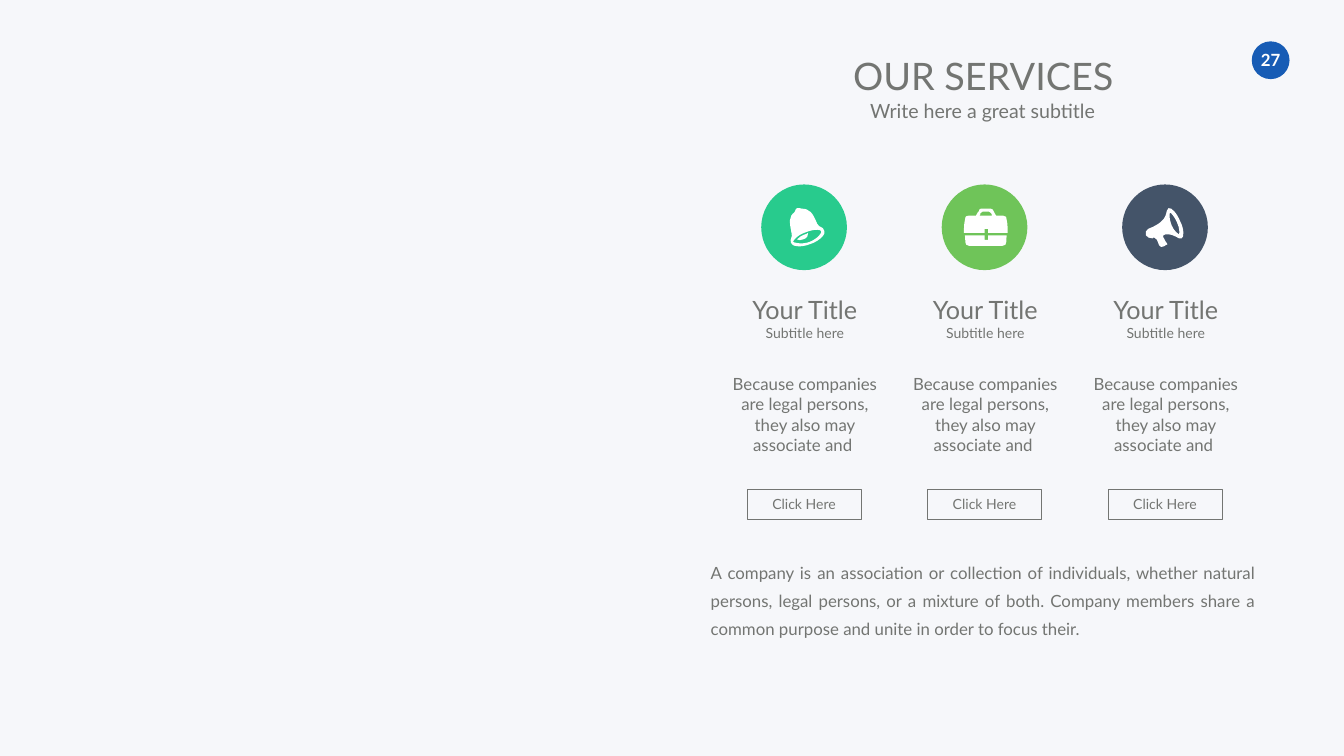
from dataclasses import dataclass

import lxml.etree
import pptx
import pptx.dml.color
import pptx.enum.shapes
import pptx.enum.text
import pptx.oxml.ns
import pptx.util
from pptx.util import Inches

SHAPES = pptx.enum.shapes.MSO_SHAPE
ALIGN = pptx.enum.text.PP_ALIGN
ANCHOR = pptx.enum.text.MSO_ANCHOR
GREY = "737572"
WHITE = "FFFFFF"
FIRST_LEFT = 14.18
COLUMN_PITCH = 3.58
UNITS_PER_INCH = 100

BELL = (
    "1621,444 | 1612,422 1606,414 1590,414 | 1584,414 1586,411 1581,413 | 1576,414 1581,416 1576,421"
    " | 1564,430 1566,441 1570,462 | 1573,472 1566,473 1569,482 | 1570,489 1589,492 1608,484"
    " | 1626,478 1639,464 1635,458 | 1632,448 1626,453 1621,444",
    "1606,480 | 1589,486 1575,481 1573,480 | 1573,478 1580,467 1598,461"
    " | 1618,453 1629,456 1629,459 | 1631,461 1623,473 1606,480",
    "1600,464 | 1590,467 1586,470 1581,475 | 1584,476 1589,478 1593,475"
    " | 1601,473 1604,467 1603,462 | 1603,462 1601,464 1600,464",
)
BRIEFCASE = (
    "1953,454 | 1960,454 | 1960,462 | 1999,462 | 1999,462 1999,443 1997,437 | 1997,431 1996,428 1990,428"
    " | 1976,428 | 1973,423 1971,419 1971,419 | 1970,416 1968,414 1965,414 | 1946,414"
    " | 1943,414 1942,416 1942,419 | 1940,419 1939,423 1936,428 | 1922,428"
    " | 1915,428 1914,431 1914,437 | 1912,443 1912,462 1912,462 | 1953,462",
    "1945,423 | 1946,422 1946,420 1949,420 | 1962,420 | 1965,420 1965,422 1966,423"
    " | 1966,423 1968,426 1968,428 | 1943,428 | 1945,426 1945,423 1945,423",
    "1960,476 | 1953,476 | 1953,467 | 1914,467 | 1914,467 1915,475 1915,481"
    " | 1915,484 1917,488 1923,488 | 1988,488 | 1994,488 1996,484 1996,481"
    " | 1996,475 1997,467 1997,467 | 1960,467",
)
MEGAPHONE = (
    "2341,439 | 2335,424 2324,411 2318,413 | 2309,417 2324,436 2278,454 | 2273,456 2271,462 2273,467"
    " | 2275,470 2281,474 2286,473 | 2289,471 | 2292,476 2295,473 2295,476 | 2296,479 2299,485 2299,486"
    " | 2301,488 2302,491 2304,490 | 2306,490 2312,488 2313,486 | 2316,486 2316,485 2315,483"
    " | 2315,482 2312,480 2312,479 | 2310,477 2309,471 2307,470 | 2306,468 2309,465 2312,465"
    " | 2333,464 2336,476 2344,473 | 2349,471 2349,454 2341,439",
    "2339,465 | 2338,465 2329,459 2324,447 | 2319,434 2319,422 2321,422"
    " | 2323,422 2330,430 2335,442 | 2341,454 2339,464 2339,465",
)


@dataclass(frozen=True)
class Service:
    color: str
    icon: tuple[str, ...]


SERVICES = (
    Service("28CB8D", BELL),
    Service("6FC459", BRIEFCASE),
    Service("445469", MEGAPHONE),
)


def rgb(color: str) -> pptx.dml.color.RGBColor:
    return pptx.dml.color.RGBColor.from_string(color)


def paint(target, color: str) -> None:
    target.fill.solid()
    target.fill.fore_color.rgb = rgb(color)


def place(box, left: float, top: float, width: float, height: float) -> None:
    box.left, box.top = Inches(left), Inches(top)
    box.width, box.height = Inches(width), Inches(height)


def prepare_frame(box, inset_x=0.27, inset_y=0.13, anchor=ANCHOR.MIDDLE) -> None:
    frame = box.text_frame
    frame.word_wrap = True
    frame.auto_size = pptx.enum.text.MSO_AUTO_SIZE.NONE
    frame.vertical_anchor = anchor
    frame.margin_left = frame.margin_right = Inches(inset_x)
    frame.margin_top = frame.margin_bottom = Inches(inset_y)


def write(box, text: str, *, size: float, color: str = GREY, bold: bool = False,
          align=ALIGN.CENTER, line_spacing: float = 1.0, space_before: float = 0) -> None:
    frame = box.text_frame
    para = frame.add_paragraph() if frame.text else frame.paragraphs[0]
    para.alignment = align
    para.line_spacing = line_spacing
    para.space_before = pptx.util.Pt(space_before)
    span = para.add_run()
    span.text = text
    span.font.name = "Lato"
    span.font.size = pptx.util.Pt(size)
    span.font.bold = bold
    span.font.color.rgb = rgb(color)


def add_circle(page, left: float, top: float, diameter: float, color: str):
    circle = page.shapes.add_shape(
        SHAPES.OVAL, Inches(left), Inches(top), Inches(diameter), Inches(diameter))
    circle.shadow.inherit = False
    paint(circle, color)
    circle.line.fill.background()
    return circle


def add_textbox(page, left: float, top: float, width: float, height: float):
    return page.shapes.add_textbox(Inches(left), Inches(top), Inches(width), Inches(height))


def curve_points(contour: str) -> list[tuple[int, ...]]:
    points = []
    for segment in contour.split("|"):
        pairs = [tuple(int(value) for value in pair.split(",")) for pair in segment.split()]
        points += pairs if len(pairs) == 3 or not points else pairs * 3
    return points


def bend(icon) -> None:
    lines = list(icon._element.iter(pptx.oxml.ns.qn("a:lnTo")))
    for index in range(0, len(lines), 3):
        curve = lxml.etree.Element(pptx.oxml.ns.qn("a:cubicBezTo"))
        lines[index].addprevious(curve)
        for line in lines[index:index + 3]:
            curve.append(line[0])
            line.getparent().remove(line)


def add_icon(page, contours: tuple[str, ...]) -> None:
    builder = None
    for contour in contours:
        start, *rest = curve_points(contour)
        if builder is None:
            builder = page.shapes.build_freeform(*start, scale=Inches(1) / UNITS_PER_INCH)
        else:
            builder.move_to(*start)
        builder.add_line_segments(rest, close=True)
    icon = builder.convert_to_shape()
    bend(icon)
    icon.shadow.inherit = False
    paint(icon, WHITE)
    icon.line.fill.background()


def add_service(page, service: Service, left: float) -> None:
    add_circle(page, left + 0.92, 3.66, 1.7, service.color)
    add_icon(page, service.icon)

    description = add_textbox(page, left, 5.71, 3.57, 3.48)
    prepare_frame(description, anchor=ANCHOR.TOP)
    write(description, "Your Title", size=36)
    write(description, "Subtitle here", size=20)
    write(description, "Because companies are legal persons, they also may associate and ",
          size=24, space_before=46.5)

    button = page.shapes.add_shape(
        SHAPES.RECTANGLE, Inches(left + 0.64), Inches(9.71), Inches(2.26), Inches(0.59))
    button.shadow.inherit = False
    button.fill.background()
    button.line.color.rgb = rgb(GREY)
    button.line.width = pptx.util.Pt(0.5)
    prepare_frame(button, inset_y=0)
    write(button, "Click Here", size=20)


def main() -> None:
    deck = pptx.Presentation()
    deck.slide_width, deck.slide_height = Inches(26.66), Inches(15)
    page = deck.slides.add_slide(deck.slide_layouts[0])
    paint(page.background, "F6F7FA")

    title, subtitle = page.placeholders
    place(title, 14.34, 0.9, 10.33, 1.18)
    prepare_frame(title)
    write(title, "OUR SERVICES", size=54)
    place(subtitle, 16.01, 1.83, 7.06, 0.74)
    prepare_frame(subtitle)
    write(subtitle, "Write here a great subtitle ", size=28)

    badge = add_circle(page, 24.83, 0.82, 0.75, "175CB5")
    prepare_frame(badge, inset_x=0, inset_y=0)
    write(badge, "27", size=24, color=WHITE, bold=True)

    for index, service in enumerate(SERVICES):
        add_service(page, service, FIRST_LEFT + index * COLUMN_PITCH)

    summary = add_textbox(page, 14, 10.95, 10.99, 1.77)
    prepare_frame(summary, inset_x=0.1, inset_y=0.05, anchor=ANCHOR.TOP)
    write(summary, "A company is an association or collection of individuals, whether natural persons, "
          "legal persons, or a mixture of both. Company members share a common purpose and unite "
          "in order to focus their.", size=24, align=ALIGN.JUSTIFY, line_spacing=1.4)

    deck.save("out.pptx")


if __name__ == "__main__":
    main()
